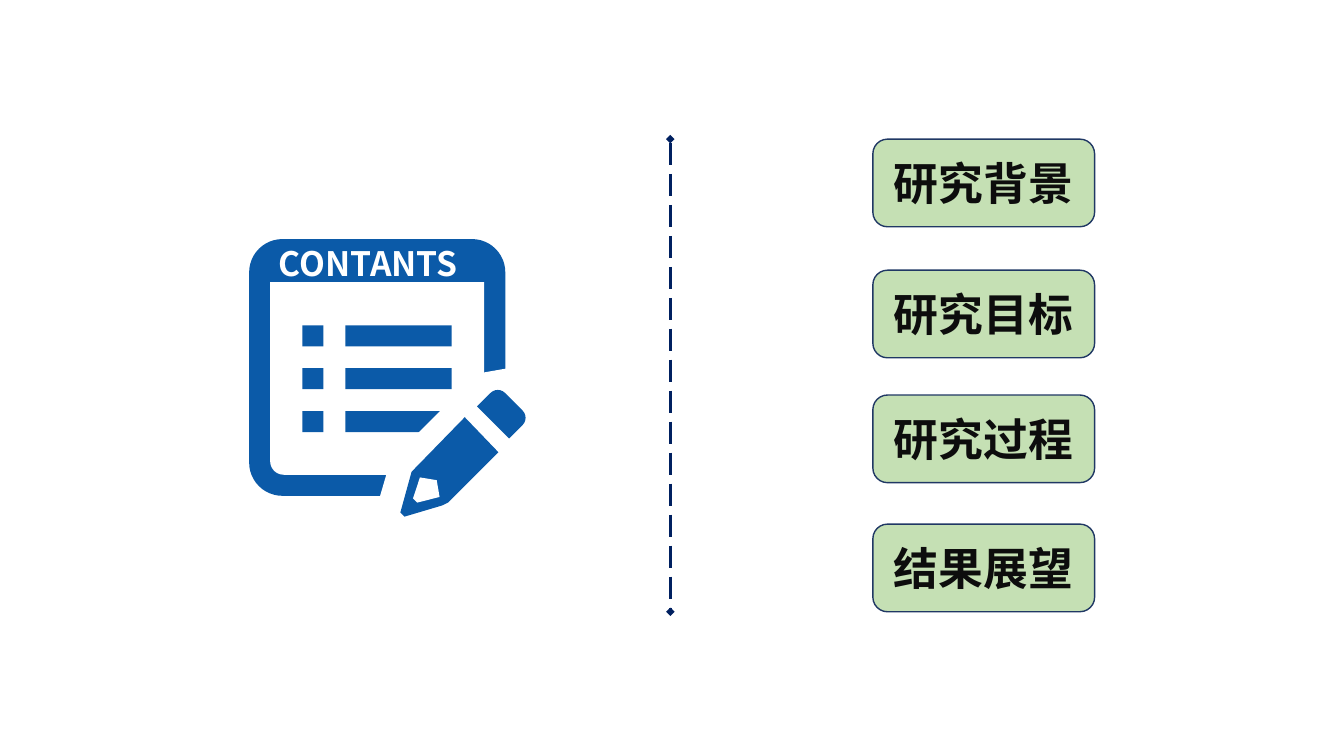
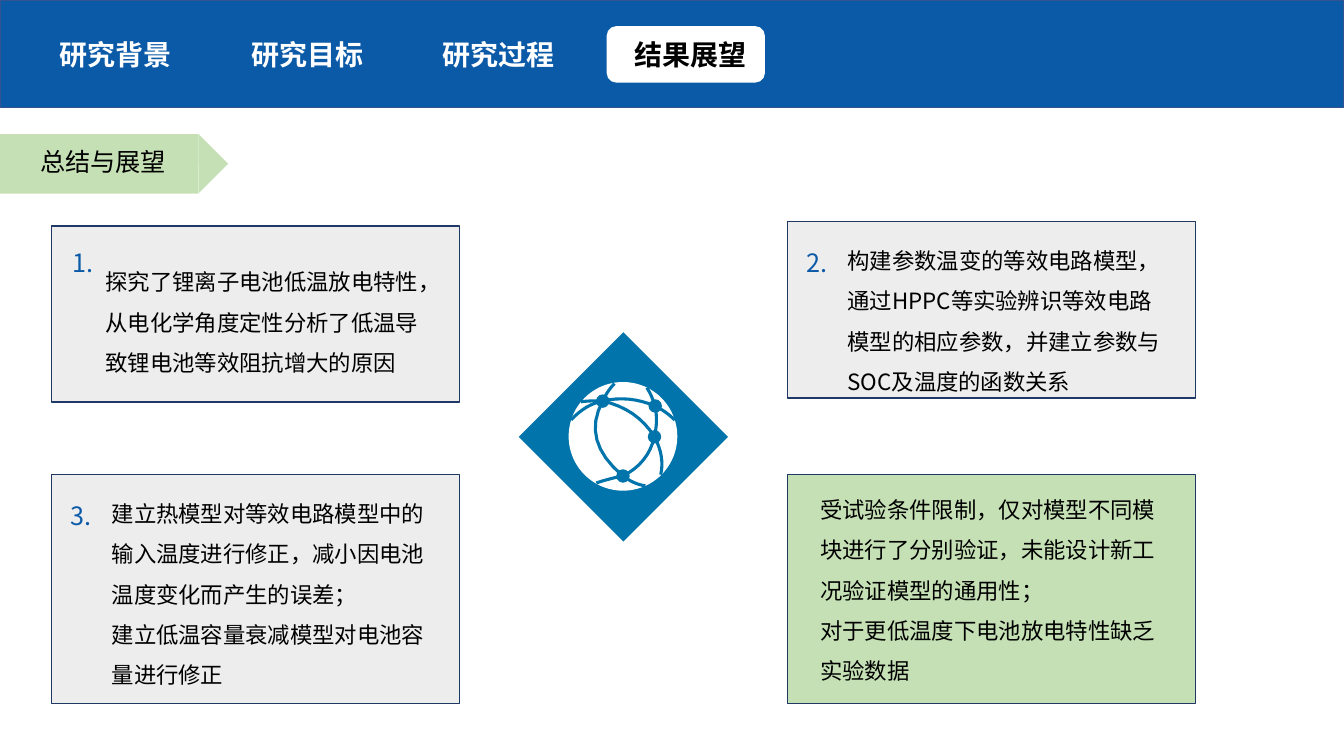
from lxml.etree import SubElement
from pptx import Presentation
from pptx.dml.color import RGBColor as RGB
from pptx.enum.dml import MSO_LINE as DASH
from pptx.enum.shapes import MSO_CONNECTOR as LINK, MSO_SHAPE as KIND
from pptx.enum.text import MSO_AUTO_SIZE as AUTO
from pptx.oxml.ns import qn
from pptx.util import Pt

BLUE = RGB.from_string("0B5AA8")
TEAL = RGB.from_string("0174AB")
NAVY = RGB.from_string("203864")
DEEP = RGB.from_string("002060")
RIM = RGB.from_string("325491")
GREEN = RGB.from_string("C5E0B4")
GREY = RGB.from_string("EDEDED")
WHITE = RGB.from_string("FFFFFF")
INK = RGB.from_string("0D0D0D")
BLACK = RGB.from_string("000000")
FACE = "Noto Sans CJK SC"
FRAME = {"word_wrap": True, "auto_size": AUTO.SHAPE_TO_FIT_TEXT}
HEAD = {"size": Pt(32), "bold": True}
LOGO = {"size": Pt(24), "bold": True}
TAB = {"size": Pt(20), "bold": True}
MARK = {"size": Pt(18)}
BODY = {"size": Pt(16)}
RULE = {"width": Pt(2), "dash_style": DASH.LONG_DASH}
TOPICS = ["研究背景", "研究目标", "研究过程", "结果展望"]


def block(page, kind, at, fill, edge=None, bend=()):
    shape = page.shapes.add_shape(kind, *map(Pt, at))
    shape.shadow.inherit = False
    shape.fill.solid()
    shape.fill.fore_color.rgb = fill
    for i, value in enumerate(bend):
        shape.adjustments[i] = value
    if edge:
        shape.line.color.rgb = edge
        shape.line.width = Pt(1)
    else:
        shape.line.fill.background()
    return shape


def write(page, at, lines, form, color, space=None):
    frame = page.shapes.add_textbox(*map(Pt, at)).text_frame
    for key, value in FRAME.items():
        setattr(frame, key, value)
    for i, line in enumerate(lines):
        para = frame.paragraphs[0] if i == 0 else frame.add_paragraph()
        para.line_spacing = space
        run = para.add_run()
        run.text = line
        for key, value in {"name": FACE, **form}.items():
            setattr(run.font, key, value)
        run.font.color.rgb = color
        SubElement(run._r.get_or_add_rPr(), qn("a:ea"), typeface=FACE)


deck = Presentation()
deck.slide_width, deck.slide_height = Pt(960), Pt(540)
cover, ending = [deck.slides.add_slide(deck.slide_layouts[6]) for _ in range(2)]

block(cover, KIND.ROUNDED_RECTANGLE, (178, 170.8, 183, 183.4), BLUE, bend=[0.13])
block(cover, KIND.ROUND_2_SAME_RECTANGLE, (193, 201.6, 152.8, 137.5), WHITE, bend=[0, 0.07])
for i in range(3):
    top = 232.4 + 30.6 * i
    for left, width in [(216, 15), (246.8, 75.8)]:
        block(cover, KIND.RECTANGLE, (left, top, width, 15), BLUE)

gap = [(363, 263), (346, 266), (315, 293), (299, 309), (282, 325), (276, 339), (271, 356), (363, 356)]
body = [(332, 298), (356, 323), (320, 359), (316, 361), (289, 369), (286, 366), (294, 337)]
tip = [(300, 341), (295, 356), (298, 359), (314, 355), (312, 343)]
for dots, color in [(gap, WHITE), (body, BLUE), (tip, WHITE)]:
    pen = cover.shapes.build_freeform(*dots[0], scale=Pt(1))
    pen.add_line_segments(dots[1:], close=True)
    shape = pen.convert_to_shape()
    shape.shadow.inherit = False
    shape.fill.solid()
    shape.fill.fore_color.rgb = color
    shape.line.fill.background()
cap = block(cover, KIND.ROUND_2_SAME_RECTANGLE, (343.4, 283.9, 32.4, 20.9), BLUE, bend=[0.35, 0])
cap.rotation = 45
write(cover, (192.2, 170, 212.4, 36), ["CONTANTS"], LOGO, WHITE)

rule = cover.shapes.add_connector(LINK.STRAIGHT, *map(Pt, (478.8, 99.4, 478.8, 437)))
for key, value in RULE.items():
    setattr(rule.line, key, value)
rule.line.color.rgb = DEEP
for end in ("a:headEnd", "a:tailEnd"):
    SubElement(rule.line._get_or_add_ln(), qn(end), type="diamond")
SubElement(rule._element.spPr, qn("a:effectLst"))

for topic, top in zip(TOPICS, (99.4, 193, 282.2, 374.4)):
    block(cover, KIND.ROUNDED_RECTANGLE, (623.5, top, 158.4, 62.6), GREEN, NAVY)
    write(cover, (631.4, top + 8, 143.3, 46), [topic], HEAD, INK)

block(ending, KIND.RECTANGLE, (0, 0, 960, 77), BLUE, RIM)
for i, topic in enumerate(TOPICS):
    left = 23 + 136.8 * i
    fill, color = (WHITE, BLACK) if topic == TOPICS[-1] else (BLUE, WHITE)
    block(ending, KIND.ROUNDED_RECTANGLE, (left, 18.7, 113, 40.3), fill)
    write(ending, (left + 12.5, 23, 107.3, 31.7), [topic], TAB, color)

block(ending, KIND.RECTANGLE, (0, 95.8, 141.8, 42.5), GREEN)
for i in range(2):
    at = (141.8, 95.8 + 21.2 * i, 21.2, 21.2)
    block(ending, KIND.RIGHT_TRIANGLE, at, GREEN).rotation = 90 * i
write(ending, (21.6, 100.8, 115.9, 28.8), ["总结与展望"], MARK, BLACK)

block(ending, KIND.RECTANGLE, (392.4, 259.2, 105.8, 105.8), TEAL).rotation = 45
block(ending, KIND.OVAL, (406.2, 272.9, 77.6, 77.6), WHITE)
west, north, east, south = nodes = [(430.5, 286.5), (468, 290), (467.5, 312), (445, 340)]
arcs = [
    (west, (415, 315), south),
    (west, (449, 282), north),
    (west, (455, 292), east),
    (north, (470, 301), east),
    (east, (463, 331), south),
    (west, (418, 289), (408, 300)),
    (west, (423, 286), (415, 287)),
    (west, (434, 279), (439, 274)),
    (north, (465, 281), (462, 277)),
    (north, (476, 294), (482, 300)),
    (east, (475, 326), (472, 339)),
    (south, (435, 342), (426, 345)),
    (south, (453, 346), (461, 347)),
]
for start, mid, stop in arcs:
    dots = []
    for n in range(9):
        t = n / 8
        dots.append([100 * ((1 - t) ** 2 * a + 2 * t * (1 - t) * b + t * t * c)
                     for a, b, c in zip(start, mid, stop)])
    pen = ending.shapes.build_freeform(*dots[0], scale=Pt(1) / 100)
    pen.add_line_segments(dots[1:], close=False)
    arc = pen.convert_to_shape()
    arc.shadow.inherit = False
    arc.fill.background()
    arc.line.color.rgb = TEAL
    arc.line.width = Pt(2.2)
for x, y in nodes:
    block(ending, KIND.OVAL, (x - 4.8, y - 4.8, 9.6, 9.6), TEAL)

cards = [
    (36.7, 161.3, 126, GREY, 31.7, 17.3, "1.", 8, 0.7,
     ["探究了锂离子电池低温放电特性，从电化学角度定性分析了低温导致锂电池等效阻抗增大的原因"]),
    (562.3, 158.4, 126, GREY, 36, 5, "2.", 6.5, 3.6,
     ["构建参数温变的等效电路模型，通过HPPC等实验辨识等效电路模型的相应参数，"
      "并建立参数与SOC及温度的函数关系"]),
    (36.7, 339.1, 163.4, GREY, 36, 5, "3.", 6.5, 3.6,
     ["建立热模型对等效电路模型中的输入温度进行修正，减小因电池温度变化而产生的误差；",
      "建立低温容量衰减模型对电池容量进行修正"]),
    (562.3, 339.1, 163.4, GREEN, 16.6, 2.2, "", 0, 0,
     ["受试验条件限制，仅对模型不同模块进行了分别验证，未能设计新工况验证模型的通用性；",
      "对于更低温度下电池放电特性缺乏实验数据"]),
]
for left, top, high, fill, inset, drop, mark, dx, dy, lines in cards:
    block(ending, KIND.RECTANGLE, (left, top, 291.6, high), fill, NAVY)
    wide = 245.5 if mark else 265.7
    write(ending, (left + inset, top + drop, wide, high - 14.4), lines, BODY, BLACK, 1.5)
    if mark:
        write(ending, (left + dx, top + dy, 29.5, 36), [mark], MARK, BLUE, 1.5)

deck.save("out.pptx")
